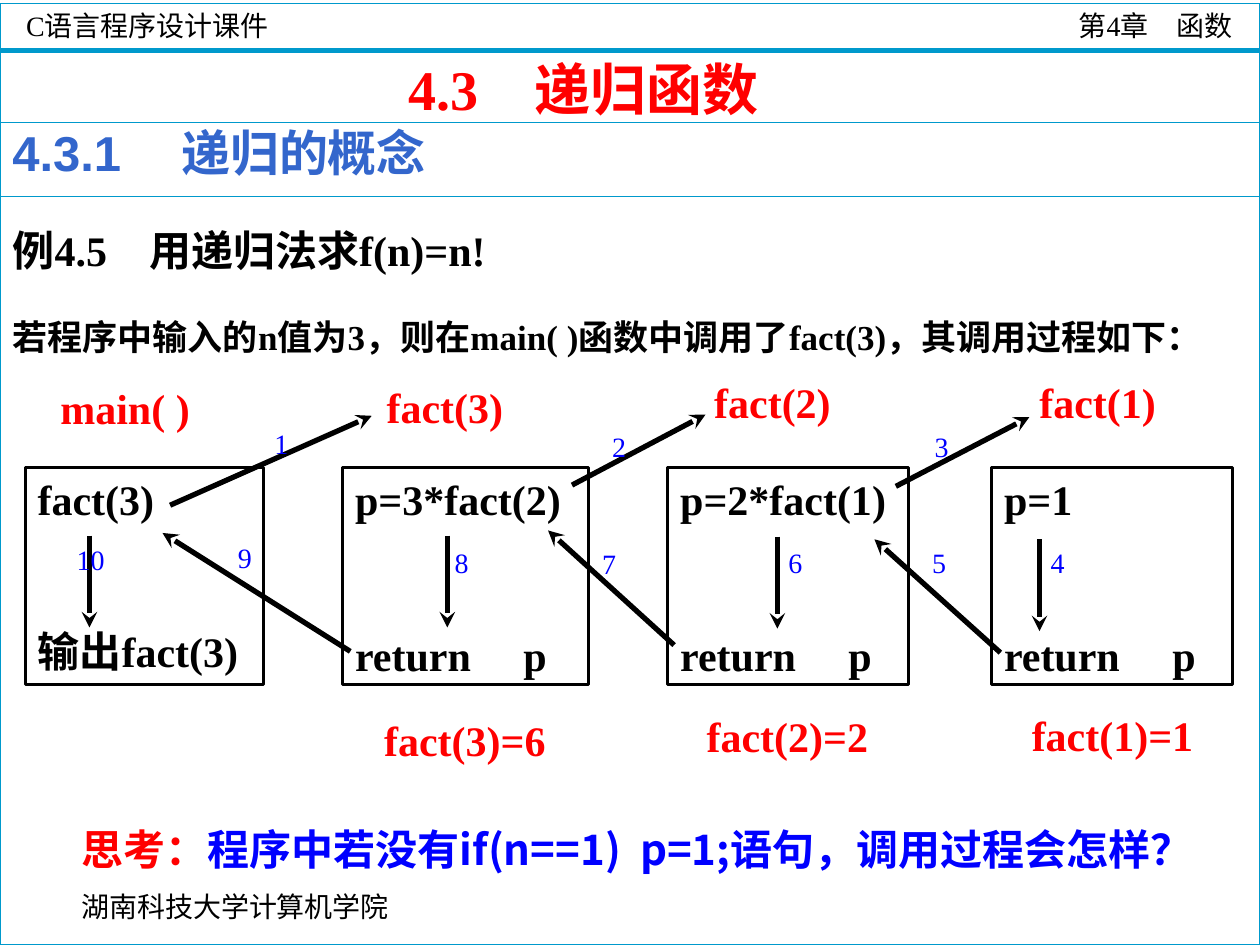
import pptx
import pptx.util
import pptx.dml.color
import pptx.enum.dml
import pptx.enum.lang
import pptx.enum.shapes
import pptx.enum.text
import pptx.oxml
import pptx.oxml.ns

Inch, Pt = pptx.util.Inches, pptx.util.Pt
Align, Anchor = pptx.enum.text.PP_ALIGN, pptx.enum.text.MSO_ANCHOR
Rect = pptx.enum.shapes.MSO_SHAPE.RECTANGLE
Line = pptx.enum.shapes.MSO_CONNECTOR.STRAIGHT
SERIF, SANS, HAN = "Times New Roman", "Arial", "Noto Sans CJK SC"
BLACK, RED, BLUE, TEAL, NAVY = "000000", "FF0000", "0000FF", "0099CC", "3366CC"


def paint(part, tone):
    """Colour a font, or a solid line."""
    if hasattr(part, "fill") and not hasattr(part, "color"):
        part.fill.solid()
    part.color.rgb = pptx.dml.color.RGBColor.from_string(tone)


def write(shape, paras, gap=0, align=Align.LEFT, anchor=Anchor.TOP, wrap=True):
    """Fill a shape; each paragraph is a list of (text, size, tone, bold, font)."""
    frame = shape.text_frame
    look = {"word_wrap": wrap, "vertical_anchor": anchor,
            "auto_size": pptx.enum.text.MSO_AUTO_SIZE.NONE}
    for key, val in look.items():
        setattr(frame, key, val)
    for n, runs in enumerate(paras):
        para = frame.paragraphs[0] if n == 0 else frame.add_paragraph()
        props = para._p.get_or_add_pPr()
        props.set("marL", "0")
        props.set("indent", "0")
        props.append(pptx.oxml.parse_xml(
            f'<a:buNone {pptx.oxml.ns.nsdecls("a")}/>'))
        para.alignment = align
        para.space_before = Pt(gap if n else 0)
        for text, size, tone, bold, face in runs:
            run = para.add_run()
            run.text = text
            form = {"name": face, "size": Pt(size), "bold": bold,
                    "language_id": pptx.enum.lang.MSO_LANGUAGE_ID.SIMPLIFIED_CHINESE}
            for key, val in form.items():
                setattr(run.font, key, val)
            paint(run.font, tone)


deck = pptx.Presentation()
deck.slide_width, deck.slide_height = Inch(10), Inch(7.5)
slide = deck.slides.add_slide(deck.slide_layouts[1])
shapes = slide.shapes

# Title and example text
title, body = shapes.title, slide.placeholders[1]
for hold, spot in ((title, (3.14, 0.38, 5.75, 0.64)), (body, (0, 1.56, 10, 1.5))):
    hold.left, hold.top, hold.width, hold.height = map(Inch, spot)
write(title, [[("4.3　递归函数", 32, RED, True, SERIF)]])
write(body, [[("例4.5　用递归法求f(n)=n!", 24, BLACK, True, SERIF)],
             [("若程序中输入的n值为3，则在main( )函数中调用了fact(3)，其调用过程如下：",
               20, BLACK, True, SERIF)]], gap=23, anchor=Anchor.MIDDLE)

# Frame, section bar and the four call boxes
TOP, HIGH = 3.71, 1.72
calls = [  # left, width, first line, last line, gap between them
    (0.2, 1.89, "fact(3)", "输出fact(3)", 58),
    (2.72, 1.95, "p=3*fact(2)", "return     p", 60),
    (5.3, 1.91, "p=2*fact(1)", "return     p", 60),
    (7.87, 1.91, "p=1", "return     p", 60),
]
rects = [((0, 0.03, 10, 7.47), TEAL, 0.75), ((0, 0.97, 10, 0.59), TEAL, 0.75)]
rects += [((x, TOP, w, HIGH), BLACK, 1.75) for x, w, *_ in calls]
drawn = []
for spot, tone, thick in rects:
    box = shapes.add_shape(Rect, *map(Inch, spot))
    box.shadow.inherit = False
    box.fill.background()
    paint(box.line, tone)
    box.line.width = Pt(thick)
    drawn.append(box)
bar = drawn[1]
bar.text_frame.margin_top = 0
write(bar, [[("4.3.1　 ", 28, NAVY, True, SANS), ("递归的概念", 28, NAVY, True, HAN)]])
for box, (_, _, first, last, gap) in zip(drawn[2:], calls):
    write(box, [[(word, 24, BLACK, True, SERIF)] for word in (first, last)], gap)

# Header rule, then the arrows: down inside boxes, out to calls, back from returns
lines = [((0, 0.4), (10, 0.4), TEAL)]
lines += [((x, y), (x, y + 0.73), BLACK) for x, y in
          ((0.71, 4.25), (3.55, 4.25), (6.17, 4.26), (8.25, 4.28))]
lines += [(a, b, BLACK) for a, b in (
    ((1.35, 4.01), (2.95, 3.3)), ((4.54, 3.85), (5.6, 3.29)),
    ((7.11, 3.86), (8.17, 3.31)), ((7.94, 5.18), (6.94, 4.28)),
    ((5.35, 5.12), (4.35, 4.21)), ((2.78, 5.17), (1.29, 4.23)))]
for start, end, tone in lines:
    link = shapes.add_connector(Line, *map(Inch, start + end))
    paint(link.line, tone)
    link.line.width = Pt(3)
    names = pptx.oxml.ns.nsdecls("a")
    if tone == BLACK:
        link.line._get_or_add_ln().append(
            pptx.oxml.parse_xml(f'<a:tailEnd {names} type="stealth"/>'))
    link._element.spPr.append(pptx.oxml.parse_xml(f"<a:effectLst {names}/>"))

# Call names, results and step numbers
labels = [(x, y, 1.79, 0.5, word, 24, RED, True) for x, y, word in (
    (0.38, 2.99, "main( )"), (2.97, 2.98, "fact(3)"),
    (5.57, 2.94, "fact(2)"), (8.15, 2.94, "fact(1)"),
    (2.95, 5.62, "fact(3)=6"), (5.51, 5.59, "fact(2)=2"), (8.09, 5.58, "fact(1)=1"))]
steps = [(2.08, 3.34), (4.76, 3.36), (7.32, 3.36), (8.24, 4.28), (7.3, 4.28),
         (6.16, 4.28), (4.68, 4.29), (3.51, 4.28), (1.79, 4.24), (0.51, 4.26)]
labels += [(x, y, 0.54, 0.37, str(n), 16, BLUE, False)
           for n, (x, y) in enumerate(steps, 1)]
for x, y, w, h, word, size, tone, bold in labels:
    note = shapes.add_textbox(*map(Inch, (x, y, w, h)))
    write(note, [[(word, size, tone, bold, SERIF)]])

# Header and footer
for spot, word, align in (
        ((0.11, 0.02, 4, 0.36), "C语言程序设计课件", Align.LEFT),
        ((5.88, 0.02, 4, 0.36), "第4章　函数", Align.RIGHT),
        ((0.55, 6.94, 2.83, 0.5), "湖南科技大学计算机学院", Align.LEFT)):
    edge = shapes.add_textbox(*map(Inch, spot))
    write(edge, [[(word, 16, BLACK, False, SERIF)]], align=align, anchor=Anchor.MIDDLE)

# Closing question
ask = shapes.add_textbox(*map(Inch, (0.55, 6.49, 9.35, 0.9)))
write(ask, [[("思考：", 24, RED, True, HAN),
             ("程序中若没有if(n==1)  p=1;语句，调用过程会怎样？", 24, BLUE, True, HAN)]])

deck.save("out.pptx")
